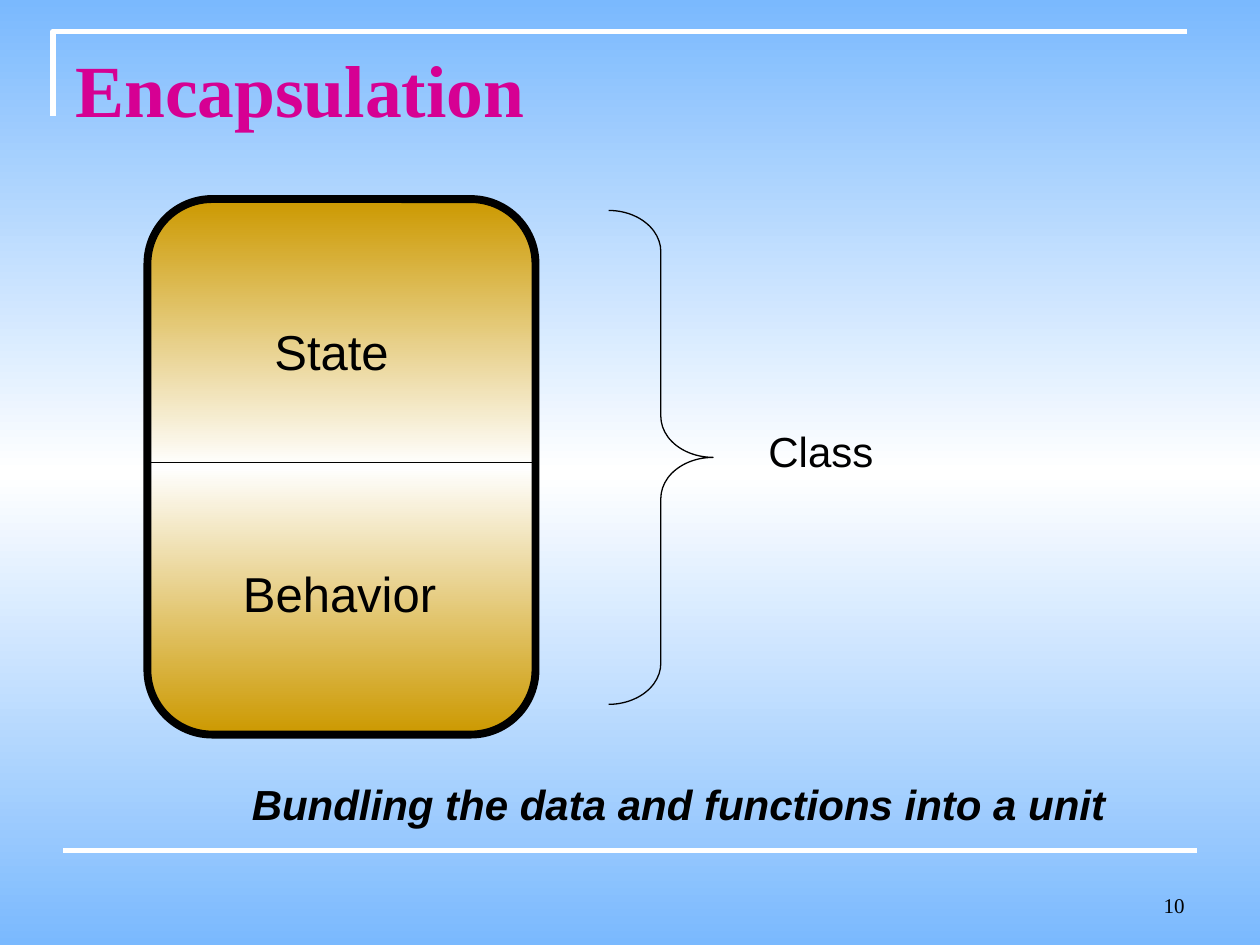
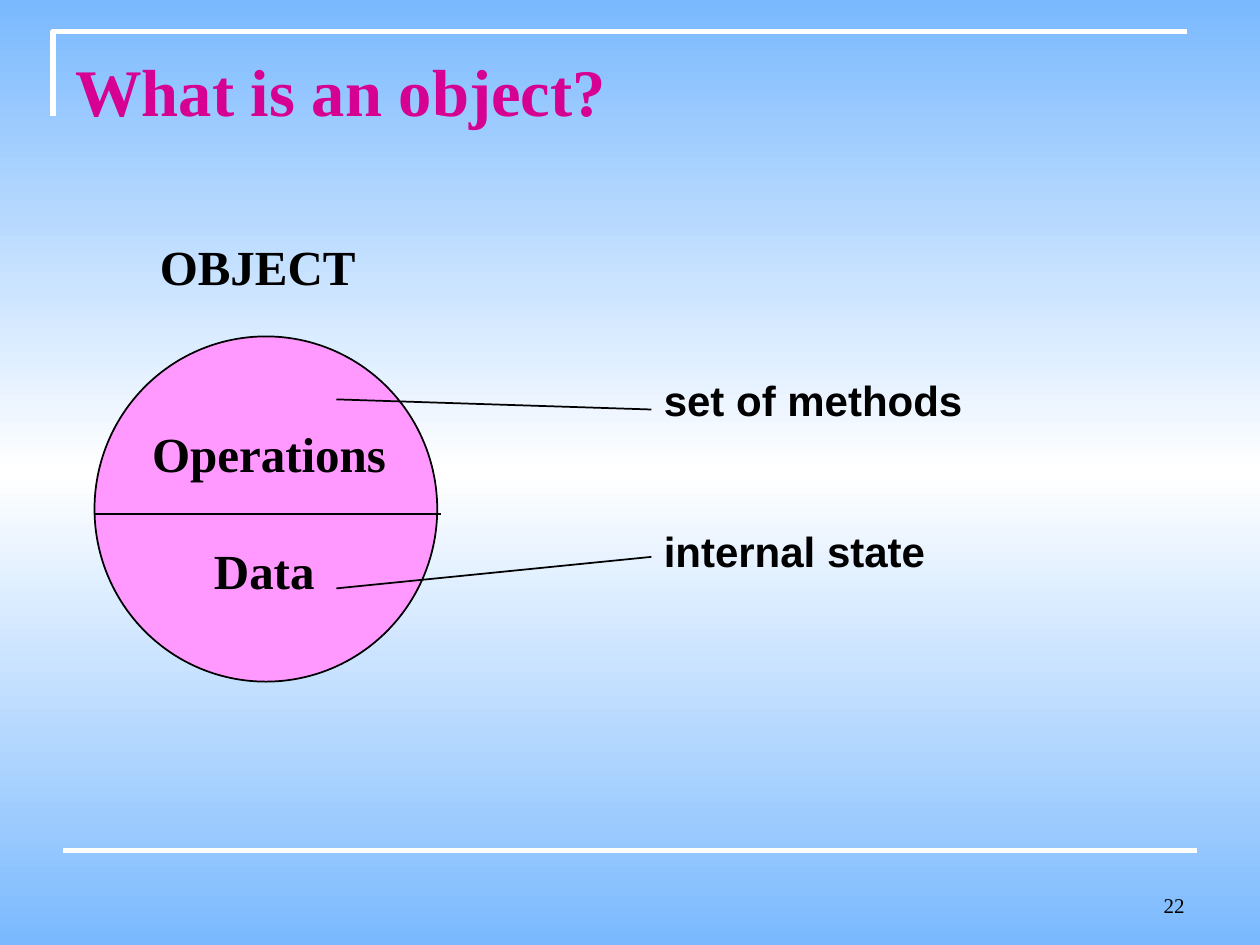
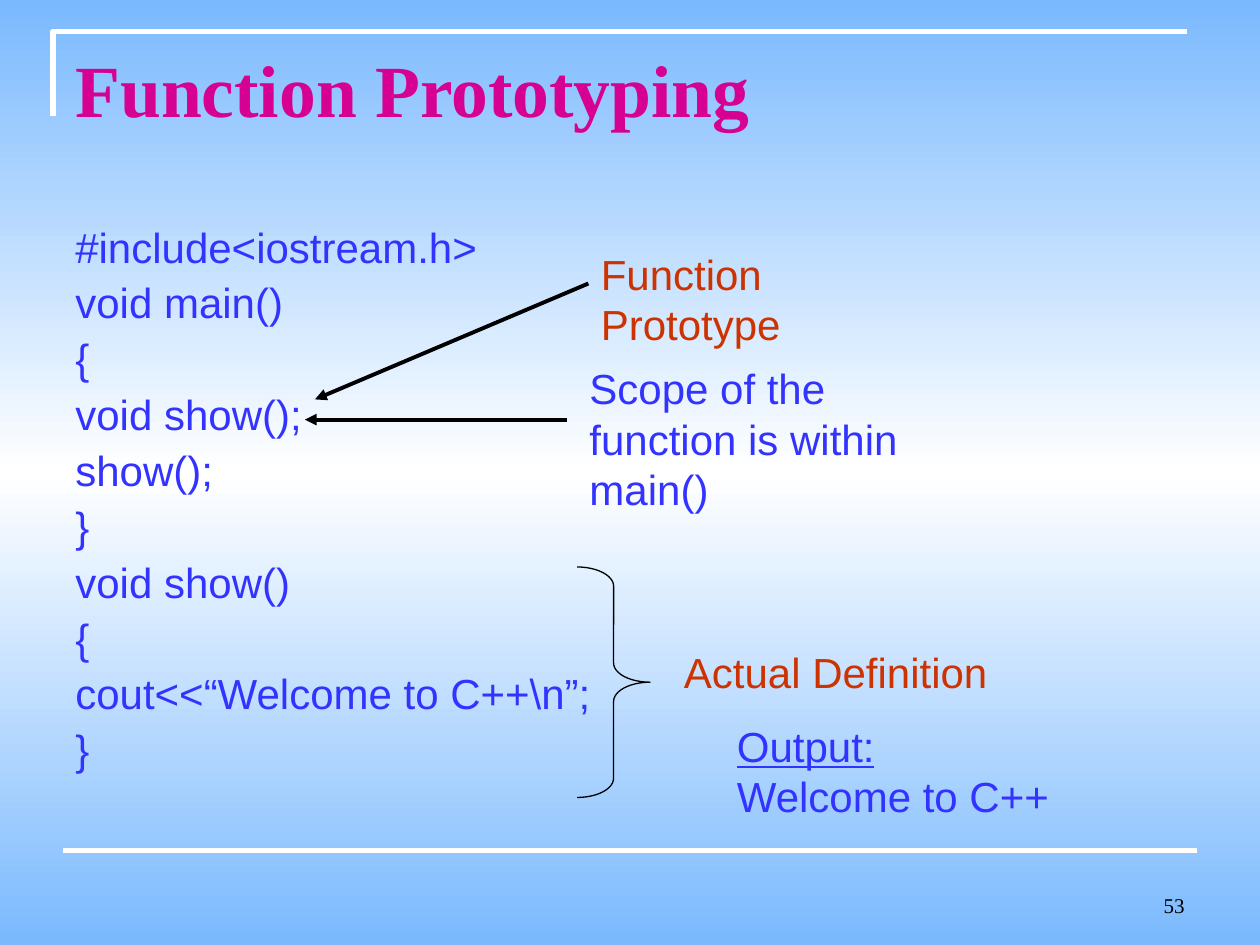
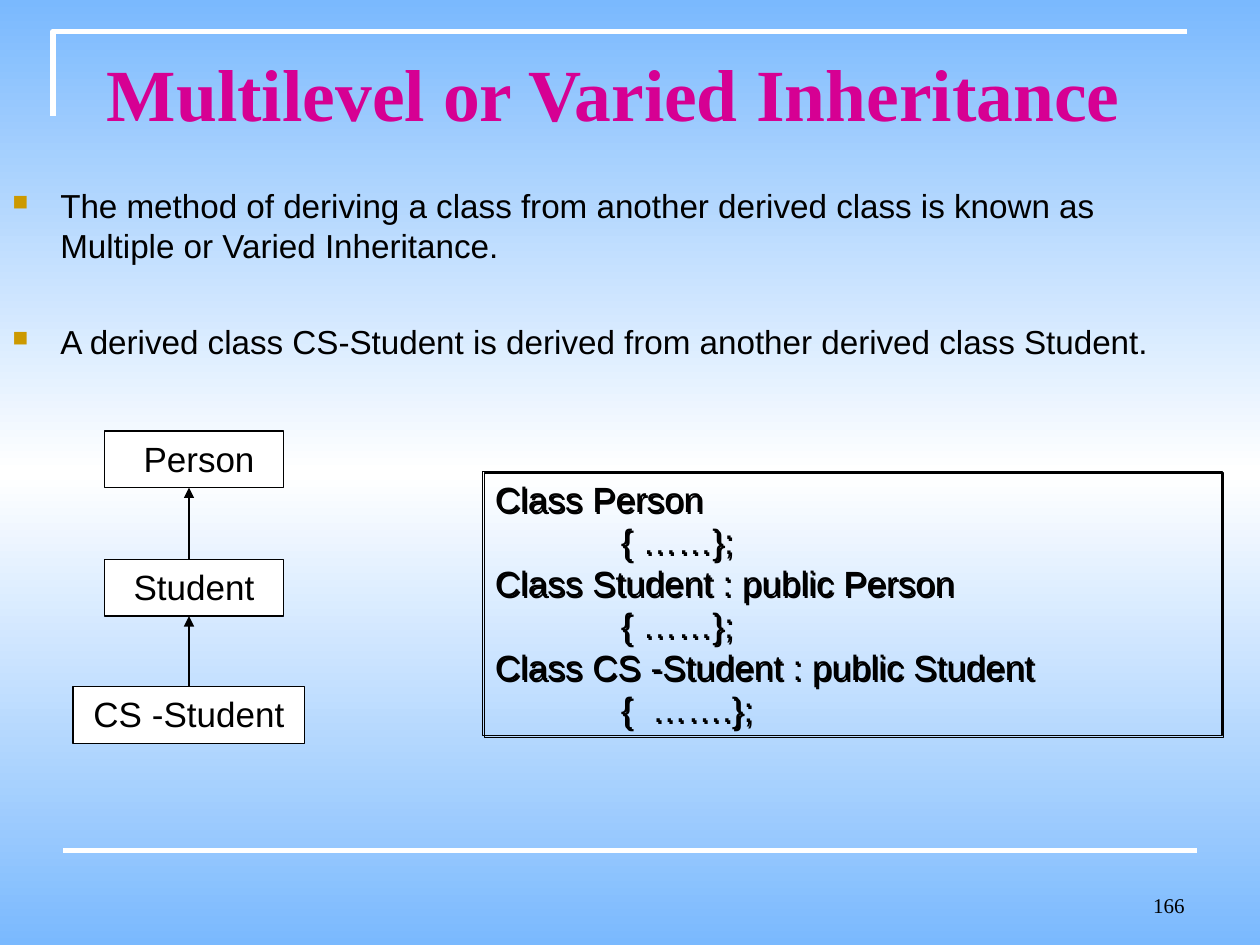
from copy import deepcopy

from lxml.etree import SubElement
from pptx import Presentation
from pptx.dml.color import RGBColor
from pptx.enum.shapes import MSO_CONNECTOR, MSO_SHAPE
from pptx.enum.text import MSO_ANCHOR as Anchor, MSO_AUTO_SIZE as AutoSize, PP_ALIGN as Align
from pptx.oxml.ns import qn
from pptx.util import Inches, Pt

COLORS = {
    "sky": "7AB9FE", "white": "FFFFFF", "black": "000000", "title": "D60093",
    "gold": "CC9900", "pink": "FF99FF", "code": "3333FF", "note": "CC3300",
}
SANS, SERIF = "Arial", "Times New Roman"


def rgb(name):
    return RGBColor.from_string(COLORS[name])


def add_bullet(paragraph, color="gold", percent=65, character="■"):
    properties = paragraph._p.get_or_add_pPr()
    bullet_color = SubElement(properties, qn("a:buClr"))
    SubElement(bullet_color, qn("a:srgbClr"), val=COLORS[color])
    SubElement(properties, qn("a:buSzPct"), val=str(percent * 1000))
    SubElement(properties, qn("a:buChar"), char=character)


def add_tab(paragraph, position):
    tabs = SubElement(paragraph._p.get_or_add_pPr(), qn("a:tabLst"))
    SubElement(tabs, qn("a:tab"), pos=str(Inches(position)), algn="l")


def write(frame, text, size=24, font=SANS, color="black", bold=False, italic=False,
          underline=False, align=Align.LEFT, before=0, spacing=None, margin=0,
          indent=0, bullet=False, tab=None):
    first = not frame.paragraphs[0].runs
    paragraph = frame.paragraphs[0] if first else frame.add_paragraph()
    paragraph.alignment = align
    paragraph.space_before = Pt(0 if first else before)
    if spacing:
        paragraph.line_spacing = spacing
    if margin:
        properties = paragraph._p.get_or_add_pPr()
        properties.set("marL", str(Inches(margin)))
        properties.set("indent", str(Inches(indent)))
    if bullet:
        add_bullet(paragraph)
    if tab:
        add_tab(paragraph, tab)
    run = paragraph.add_run()
    run.text = text
    run.font.name, run.font.size = font, Pt(size)
    run.font.bold, run.font.italic, run.font.underline = bold, italic, underline
    run.font.color.rgb = rgb(color)


class Deck:
    """Holds the shared style and draws elements on the current slide."""

    def __init__(self):
        self.presentation = Presentation()
        self.presentation.slide_width = Inches(10)
        self.presentation.slide_height = Inches(7.5)
        self.slide = None

    def new_slide(self, title, number, at=(0.5, 0.3, 9, 1.25), size=42, anchor=Anchor.TOP):
        self.slide = self.presentation.slides.add_slide(self.presentation.slide_layouts[6])
        self.gradient(self.slide.background.fill, self.slide._element, "sky")
        self.corner()
        self.line((0.5, 6.75), (9.5, 6.75), color="white", width=3)
        self.text((7.17, 6.83, 2.33, 0.5), number, anchor=Anchor.BOTTOM, size=12,
                  font=SERIF, align=Align.RIGHT)
        self.text(at, title, anchor=anchor, size=size, font=SERIF, color="title", bold=True)

    def gradient(self, fill, element, edge):
        fill.gradient()
        fill.gradient_angle = 90
        stops = element.xpath(".//a:gsLst")[0]
        stops.insert(1, deepcopy(stops[0]))
        for stop, position, color in zip(fill.gradient_stops, (0, 0.5, 1), (edge, "white", edge)):
            stop.position = position
            stop.color.rgb = rgb(color)

    def corner(self):
        builder = self.slide.shapes.build_freeform(Inches(0.42), Inches(0.92))
        builder.add_line_segments([(Inches(0.42), Inches(0.25)), (Inches(9.42), Inches(0.25))],
                                  close=False)
        self.style(builder.convert_to_shape(), color="white", width=3)

    def style(self, shape, fill=None, color="black", width=0.75):
        shape.shadow.inherit = False
        if fill:
            shape.fill.solid()
            shape.fill.fore_color.rgb = rgb(fill)
        else:
            shape.fill.background()
        shape.line.color.rgb = rgb(color)
        shape.line.width = Pt(width)

    def shape(self, kind, at, fill=None, width=0.75, adjust=None):
        shape = self.slide.shapes.add_shape(kind, *map(Inches, at))
        self.style(shape, fill, width=width)
        if adjust:
            shape.adjustments[0] = adjust
        return shape

    def brace(self, at):
        self.shape(MSO_SHAPE.RIGHT_BRACE, at, adjust=at[3] / 12 / at[2])

    def class_box(self, at, name, margin=0):
        box = self.shape(MSO_SHAPE.RECTANGLE, at, fill="white")
        box.text_frame.vertical_anchor = Anchor.TOP
        write(box.text_frame, name, size=20, align=Align.CENTER, margin=margin)
        return box

    def code_box(self, at, lines):
        box = self.shape(MSO_SHAPE.RECTANGLE, at)
        effects = box._element.spPr.find(qn("a:effectLst"))
        shadow = SubElement(effects, qn("a:outerShdw"), dist=str(Pt(1.4)), dir="2700000",
                            algn="ctr", rotWithShape="0")
        SubElement(shadow, qn("a:srgbClr"), val=COLORS["black"])
        box.text_frame.word_wrap = True
        box.text_frame.vertical_anchor = Anchor.MIDDLE
        for line in lines:
            write(box.text_frame, line, size=20, tab=1)

    def line(self, start, end, color="black", width=0.75, arrow=False):
        line = self.slide.shapes.add_connector(
            MSO_CONNECTOR.STRAIGHT, *map(Inches, (*start, *end)))
        line.line.color.rgb = rgb(color)
        line.line.width = Pt(width)
        if arrow:
            SubElement(line.line._get_or_add_ln(), qn("a:tailEnd"), type="triangle")
        SubElement(line._element.spPr, qn("a:effectLst"))
        return line

    def text(self, at, *lines, anchor=Anchor.TOP, wrap=True, **style):
        frame = self.slide.shapes.add_textbox(*map(Inches, at)).text_frame
        frame.word_wrap = wrap
        frame.vertical_anchor = anchor
        if not wrap:
            frame.auto_size = AutoSize.SHAPE_TO_FIT_TEXT
        for line in lines:
            content, extra = (line, {}) if isinstance(line, str) else line
            write(frame, content, **{**style, **extra})


def encapsulation(deck):
    deck.new_slide("Encapsulation", "10")
    capsule = deck.shape(MSO_SHAPE.ROUNDED_RECTANGLE, (1.17, 1.58, 3.08, 4.25),
                         width=4.5, adjust=1 / 6)
    deck.gradient(capsule.fill, capsule._element, "gold")
    deck.line((1.17, 3.67), (4.25, 3.67))
    deck.text((1.83, 4.42, 2.17, 0.57), "Behavior", size=28)
    deck.text((2.08, 2.5, 1.25, 0.57), "State", size=28)
    deck.brace((4.83, 1.67, 0.83, 3.92))
    deck.text((6, 3.33, 1.58, 0.5), "Class")
    deck.text((1.9, 6.13, 7.1, 0.5), "Bundling the data and functions into a unit",
              bold=True, italic=True)


def what_is_an_object(deck):
    deck.new_slide("What is an object?", "22", (0.5, 0.33, 9.79, 0.75), 38, Anchor.BOTTOM)
    heading = {"wrap": False, "size": 28, "font": SERIF, "bold": True}
    deck.text((1.17, 1.83, 1.76, 0.57), "OBJECT", **heading)
    deck.shape(MSO_SHAPE.OVAL, (0.75, 2.67, 2.72, 2.74), fill="pink", width=1)
    deck.text((1.11, 3.31, 2.06, 1.5), "Operations",
              ("Data", {"before": 33.4, "margin": 0.49}), **heading)
    deck.text((5.17, 2.92, 2.57, 1.7), "set of methods",
              ("internal state", {"before": 57.8}), wrap=False, bold=True)
    for start, end in (((2.67, 3.17), (5.17, 3.25)), ((2.67, 4.67), (5.17, 4.42)),
                       ((0.75, 4.08), (3.5, 4.08))):
        deck.line(start, end, width=1)


def function_prototyping(deck):
    deck.new_slide("Function Prototyping", "53")
    deck.text((0.5, 1.75, 9, 4.95), "#include<iostream.h>", "void main()", "{",
              "void show();", "show();", "}", "void show()", "{",
              "cout<<“Welcome to C++\\n”;", "}",
              color="code", before=6, spacing=0.9, margin=0.38, indent=-0.38)
    deck.text((5.75, 5.67, 2.68, 0.9), ("Output:", {"underline": True}), "Welcome to C++",
              wrap=False, color="code")
    deck.line((4.5, 3.33), (2.42, 3.33), width=2.25, arrow=True)
    deck.text((4.58, 2.83, 2.92, 1.3), "Scope of the function is within main()", color="code")
    deck.text((4.67, 1.92, 2.75, 0.9), "Function Prototype", color="note")
    deck.line((4.67, 2.25), (2.5, 3.17), width=2.25, arrow=True)
    deck.brace((4.58, 4.5, 0.58, 1.83))
    deck.text((5.33, 5.08, 3.58, 0.5), "Actual Definition", color="note")


def multilevel_inheritance(deck):
    deck.new_slide("Multilevel or Varied Inheritance", "166", (0.75, 0.3, 8.75, 0.87),
                   anchor=Anchor.MIDDLE)
    deck.text((0, 1.42, 9.58, 5.33),
              "The method of deriving a class from another derived class is known as "
              "Multiple or Varied Inheritance.",
              "A derived class CS-Student is derived from another derived class Student.",
              size=19, before=32.5, margin=0.38, indent=-0.38, bullet=True)
    deck.class_box((0.83, 3.42, 1.42, 0.45), "Person", margin=0.08)
    deck.class_box((0.83, 4.44, 1.42, 0.45), "Student")
    cs_student = deck.class_box((0.58, 5.45, 1.84, 0.45), "CS -Student")
    deck.line((1.5, 4.44), (1.5, 3.87), arrow=True)
    deck.line((1.5, 5.45), (1.5, 4.89), arrow=True).begin_connect(cs_student, 0)
    deck.code_box((3.83, 3.74, 5.87, 2.1), (
        "Class Person", "\t{ ……};", "Class Student : public Person", "   \t{ ……};",
        "Class CS -Student : public Student", "\t{  …….};"))


def main():
    deck = Deck()
    for build in (encapsulation, what_is_an_object, function_prototyping,
                  multilevel_inheritance):
        build(deck)
    deck.presentation.save("out.pptx")


if __name__ == "__main__":
    main()
